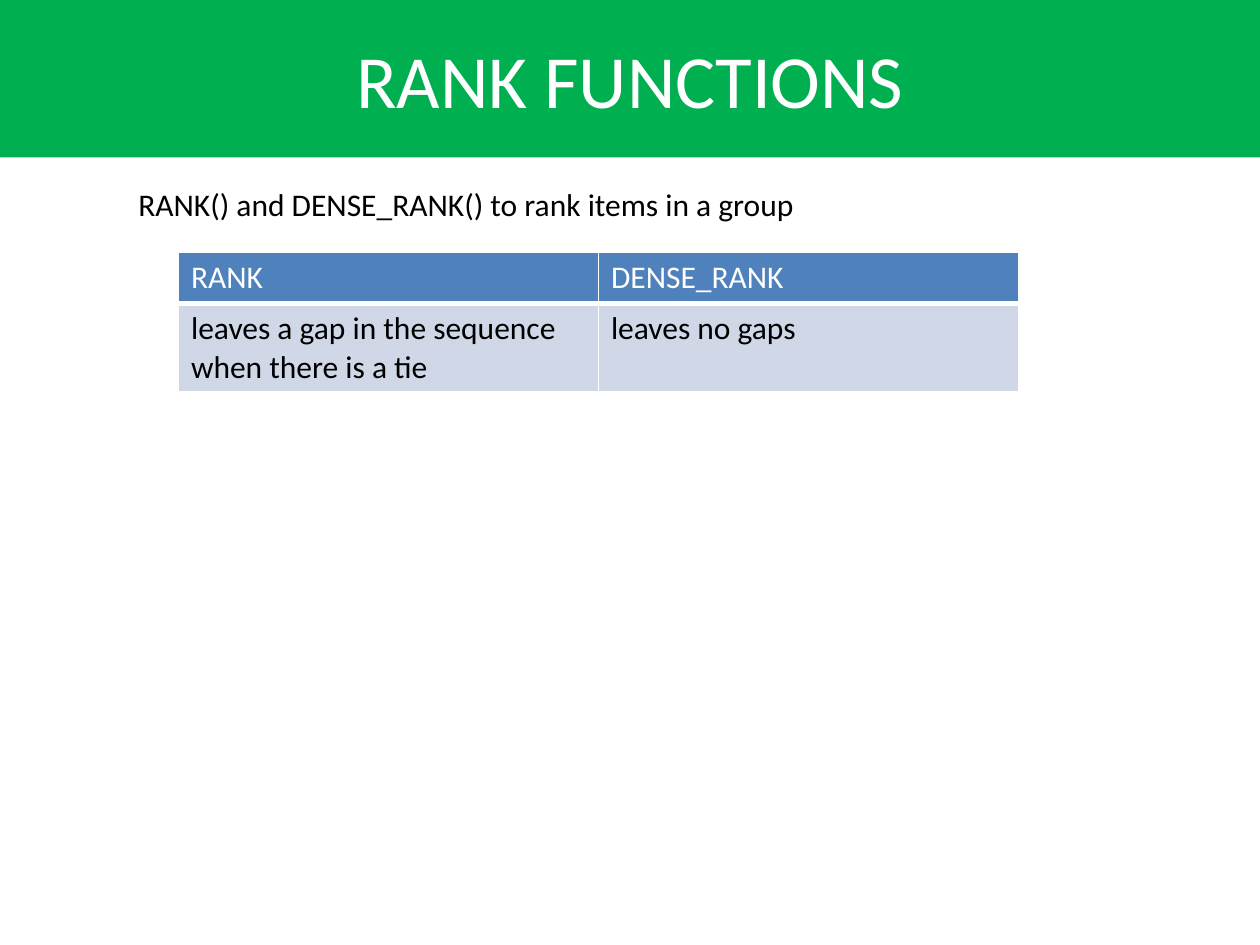
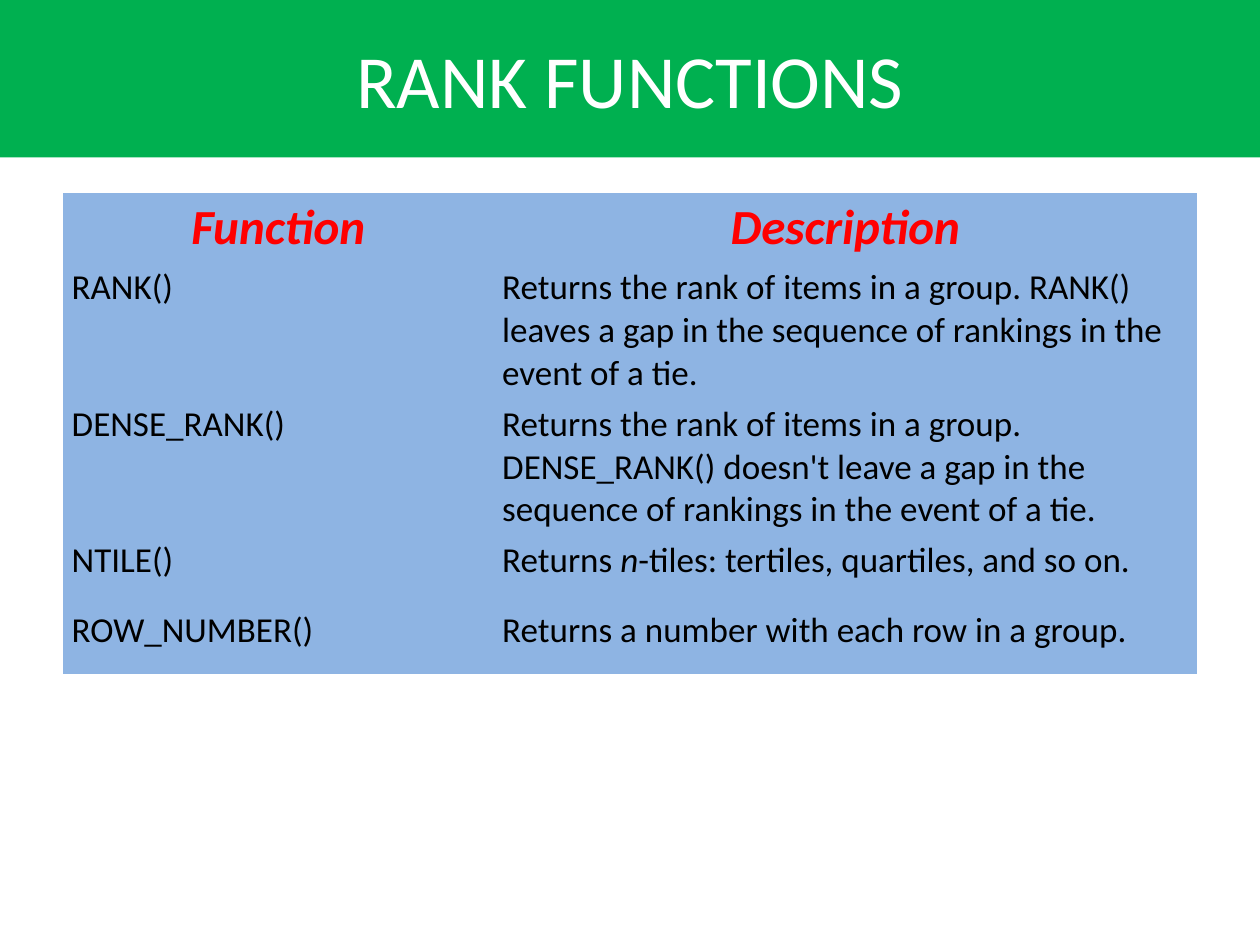
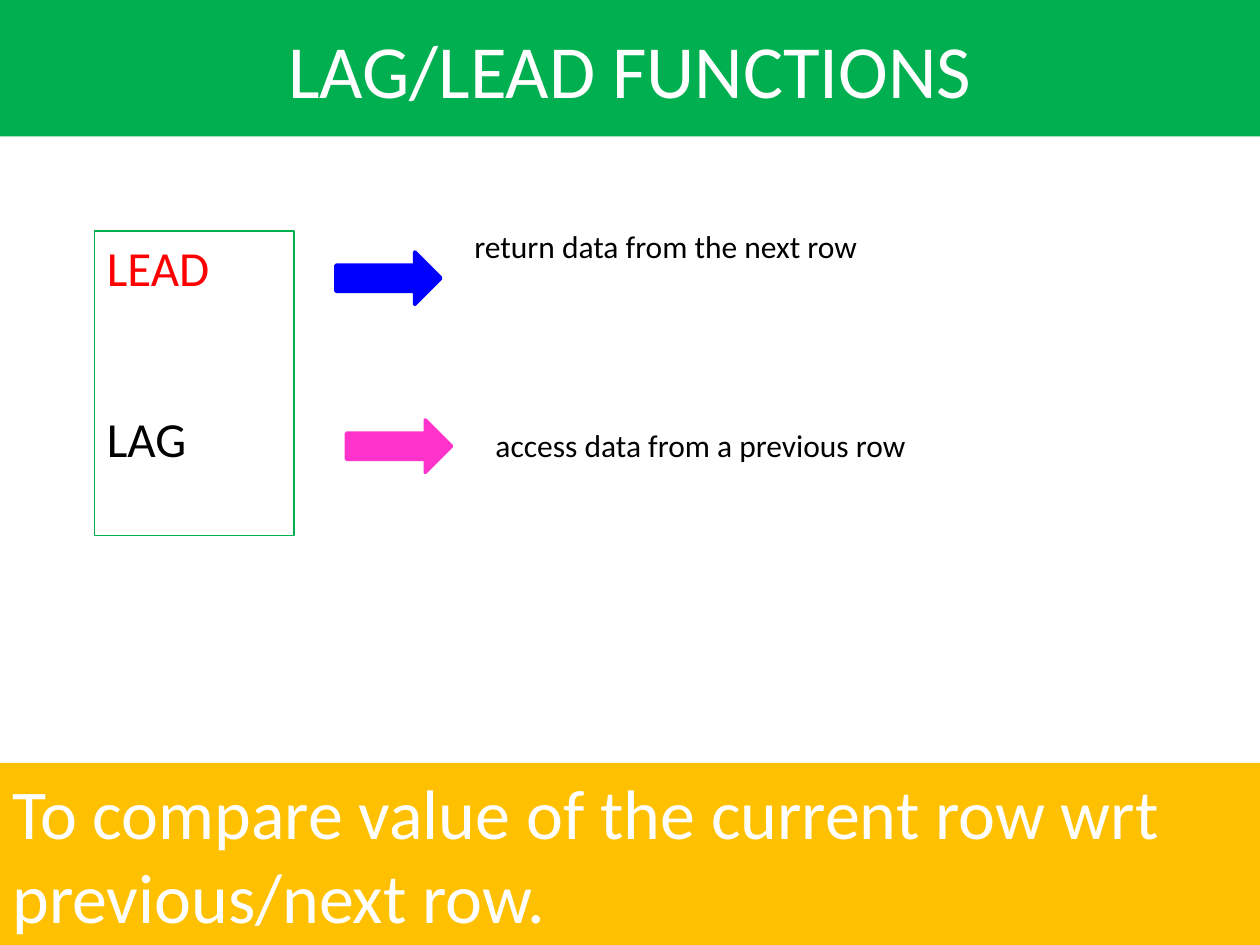
from lxml import etree
from pptx import Presentation
from pptx.dml.color import RGBColor
from pptx.enum import shapes, text
from pptx.oxml.ns import qn
from pptx.util import Pt

# Shared look
FONT = "Calibri"
GREEN = RGBColor(0x00, 0xB0, 0x50)
AMBER = RGBColor(0xFF, 0xC0, 0x00)
WHITE = RGBColor(0xFF, 0xFF, 0xFF)
BLACK = RGBColor(0x00, 0x00, 0x00)
RED = RGBColor(0xFF, 0x00, 0x00)
BLUE = RGBColor(0x00, 0x00, 0xFF)
PINK = RGBColor(0xFF, 0x33, 0xCC)
HEADER_BLUE = RGBColor(0x4F, 0x81, 0xBD)
PALE_BLUE = RGBColor(0xD0, 0xD8, 0xE8)
SKY = RGBColor(0x8E, 0xB4, 0xE3)
PLAIN_TABLE_STYLE = "{2D5ABB26-0587-4C30-8999-92F81FD0307C}"
PAGE_WIDTH, PAGE_HEIGHT = 720, 540

# Content
RANK_TITLE = "RANK FUNCTIONS"
RANK_INTRO = "RANK() and DENSE_RANK() to rank items in a group"
TIE_ROWS = [
    ("RANK", "DENSE_RANK"),
    ("leaves a gap in the sequence when there is a tie", "leaves no gaps"),
]
# A list in a cell holds runs; every second run is italic
FUNCTION_ROWS = [
    ("Function", "Description"),
    ("RANK()", "Returns the rank of items in a group. RANK() leaves a gap "
               "in the sequence of rankings in the event of a tie."),
    ("DENSE_RANK()", "Returns the rank of items in a group. DENSE_RANK() doesn't "
                     "leave a gap in the sequence of rankings in the event of a tie."),
    ("NTILE()", ["Returns ", "n", "-tiles: tertiles, quartiles, and so on."]),
    ("ROW_NUMBER()", "Returns a number with each row in a group."),
]
LAG_TITLE = "LAG/LEAD FUNCTIONS"
LAG_NAMES = [("LEAD", RED, 0), ("LAG", BLACK, 64)]  # name, colour, space before
# text, text left, text top, text width, arrow left, arrow top, arrow colour
LAG_NOTES = [
    ("return data from the next row", 264, 126, 236, 192, 144, BLUE),
    ("access data from a previous row", 276, 240, 251, 198, 240, PINK),
]
LAG_SUMMARY = "To compare value of the current row wrt previous/next row."


def style(para, size, color, bold=False, italic=False, align=text.PP_ALIGN.LEFT):
    para.alignment = align
    font = para.font
    font.name, font.size, font.bold, font.italic = FONT, Pt(size), bold, italic
    font.color.rgb = color


def add_box(page, kind, left, top, width, height, fill=None, line=None, line_width=1):
    box = page.shapes.add_shape(kind, Pt(left), Pt(top), Pt(width), Pt(height))
    box.shadow.inherit = False
    if fill is None:
        box.fill.background()
    else:
        box.fill.solid()
        box.fill.fore_color.rgb = fill
    if line is None:
        box.line.fill.background()
    else:
        box.line.color.rgb = line
        box.line.width = Pt(line_width)
    box.text_frame.vertical_anchor = text.MSO_ANCHOR.TOP
    return box


def add_label(page, words, left, top, width, wrap):
    label = page.shapes.add_textbox(Pt(left), Pt(top), Pt(width), Pt(29))
    frame = label.text_frame
    frame.word_wrap = wrap
    frame.text = words
    style(frame.paragraphs[0], 18, BLACK)


def add_page(deck, title, band_height):
    page = deck.slides.add_slide(deck.slide_layouts[6])
    band = add_box(page, shapes.MSO_SHAPE.RECTANGLE, 0, 0, PAGE_WIDTH, band_height, GREEN)
    frame = band.text_frame
    frame.vertical_anchor = text.MSO_ANCHOR.MIDDLE
    frame.text = title
    style(frame.paragraphs[0], 42.9, WHITE, align=text.PP_ALIGN.CENTER)
    return page


def add_border(cell, side, color, width):
    line = etree.SubElement(cell._tc.get_or_add_tcPr(), qn("a:ln" + side), w=str(Pt(width)))
    fill = etree.SubElement(line, qn("a:solidFill"))
    etree.SubElement(fill, qn("a:srgbClr"), val=str(color))


def add_table(page, rows, left, top, widths, heights, header, body, fills,
              margins=None, bordered=False):
    """header and body are keyword sets for style(); fills is (header, body)."""
    frame = page.shapes.add_table(len(rows), len(widths), Pt(left), Pt(top),
                                  Pt(sum(widths)), Pt(sum(heights)))
    table = frame.table
    table.first_row = table.horz_banding = False
    table._tbl.tblPr.find(qn("a:tableStyleId")).text = PLAIN_TABLE_STYLE
    for column, width in zip(table.columns, widths):
        column.width = Pt(width)
    for index, (values, height) in enumerate(zip(rows, heights)):
        table.rows[index].height = Pt(height)
        for cell, value in zip(table.rows[index].cells, values):
            if margins:
                cell.margin_left = cell.margin_right = Pt(margins[0])
                cell.margin_top = cell.margin_bottom = Pt(margins[1])
            if bordered:
                for side in "LRTB":
                    add_border(cell, side, WHITE, 3 if index == 0 and side == "B" else 1)
            cell.fill.solid()
            cell.fill.fore_color.rgb = fills[min(index, 1)]
            para = cell.text_frame.paragraphs[0]
            style(para, **(body if index else header))
            for place, words in enumerate([value] if isinstance(value, str) else value):
                span = para.add_run()
                span.text = words
                if place % 2:
                    span.font.italic = True


deck = Presentation()
deck.slide_width, deck.slide_height = Pt(PAGE_WIDTH), Pt(PAGE_HEIGHT)

# Slide 1: ties in RANK and DENSE_RANK
page = add_page(deck, RANK_TITLE, 90)
add_label(page, RANK_INTRO, 72, 102, 474, True)
add_table(page, TIE_ROWS, 102, 144, [240, 240], [29.5, 29.5],
          dict(size=18, color=WHITE), dict(size=18, color=BLACK),
          (HEADER_BLUE, PALE_BLUE), bordered=True)

# Slide 2: list of rank functions
page = add_page(deck, RANK_TITLE, 90)
add_table(page, FUNCTION_ROWS, 36, 110, [246, 402], [23, 58, 75, 40, 40],
          dict(size=28, color=RED, bold=True, italic=True, align=text.PP_ALIGN.CENTER),
          dict(size=20, color=BLACK), (SKY, SKY), margins=(5, 2.9))

# Slide 3: LAG and LEAD
page = add_page(deck, LAG_TITLE, 78)
names = add_box(page, shapes.MSO_SHAPE.RECTANGLE, 54, 132, 114, 174, line=GREEN, line_width=0.75)
for index, (name, color, gap) in enumerate(LAG_NAMES):
    frame = names.text_frame
    para = frame.add_paragraph() if index else frame.paragraphs[0]
    para.text = name
    para.space_before = Pt(gap)
    style(para, 28, color)
for words, left, top, width, arrow_left, arrow_top, color in LAG_NOTES:
    add_label(page, words, left, top, width, False)
    add_box(page, shapes.MSO_SHAPE.RIGHT_ARROW, arrow_left, arrow_top, 60, 30, color, color, 2)

# Summary band along the bottom edge
summary_height = 104
summary = add_box(page, shapes.MSO_SHAPE.RECTANGLE, 0, PAGE_HEIGHT - summary_height,
                  PAGE_WIDTH, summary_height, AMBER)
summary.text_frame.text = LAG_SUMMARY
style(summary.text_frame.paragraphs[0], 40, WHITE)

deck.save("out.pptx")
